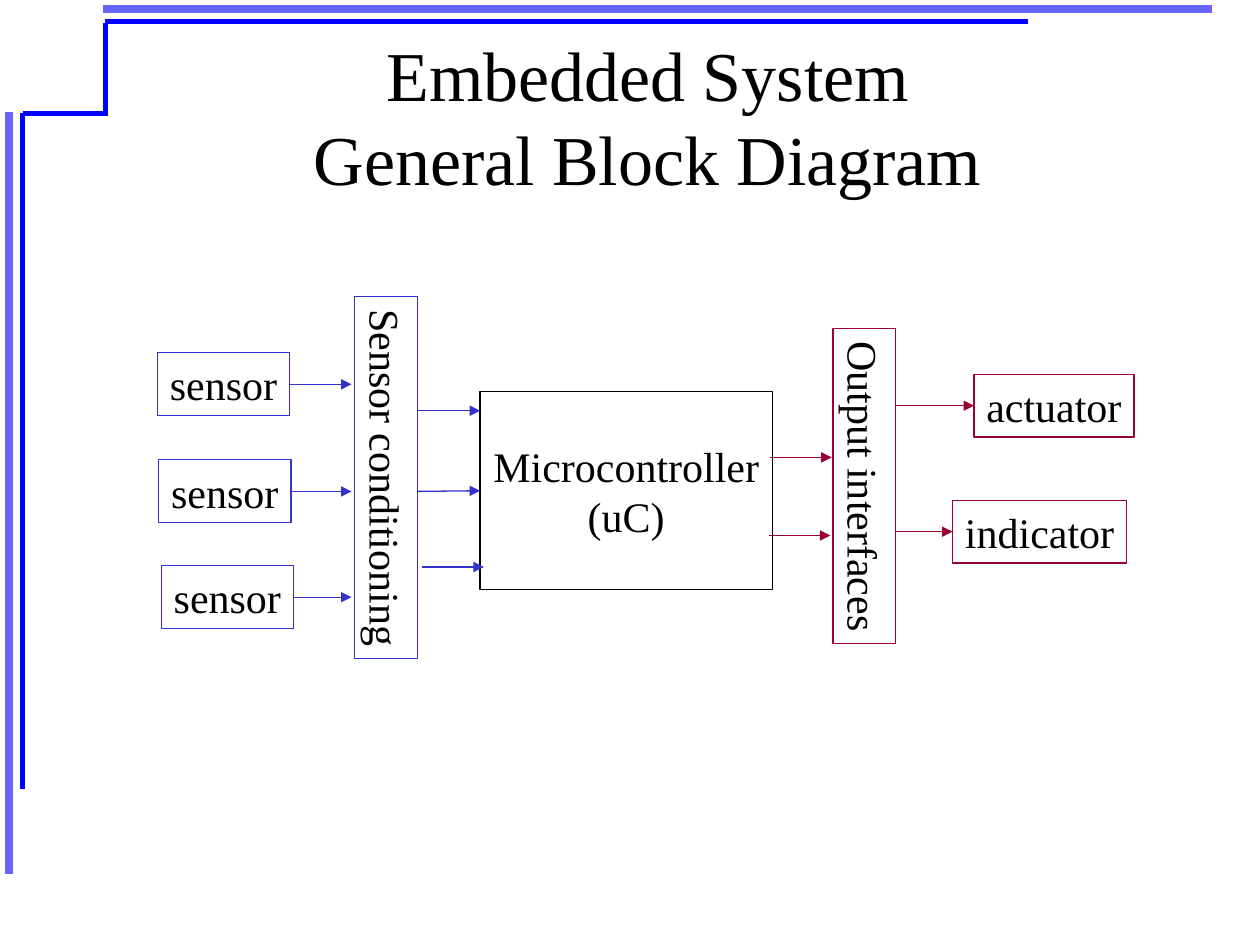
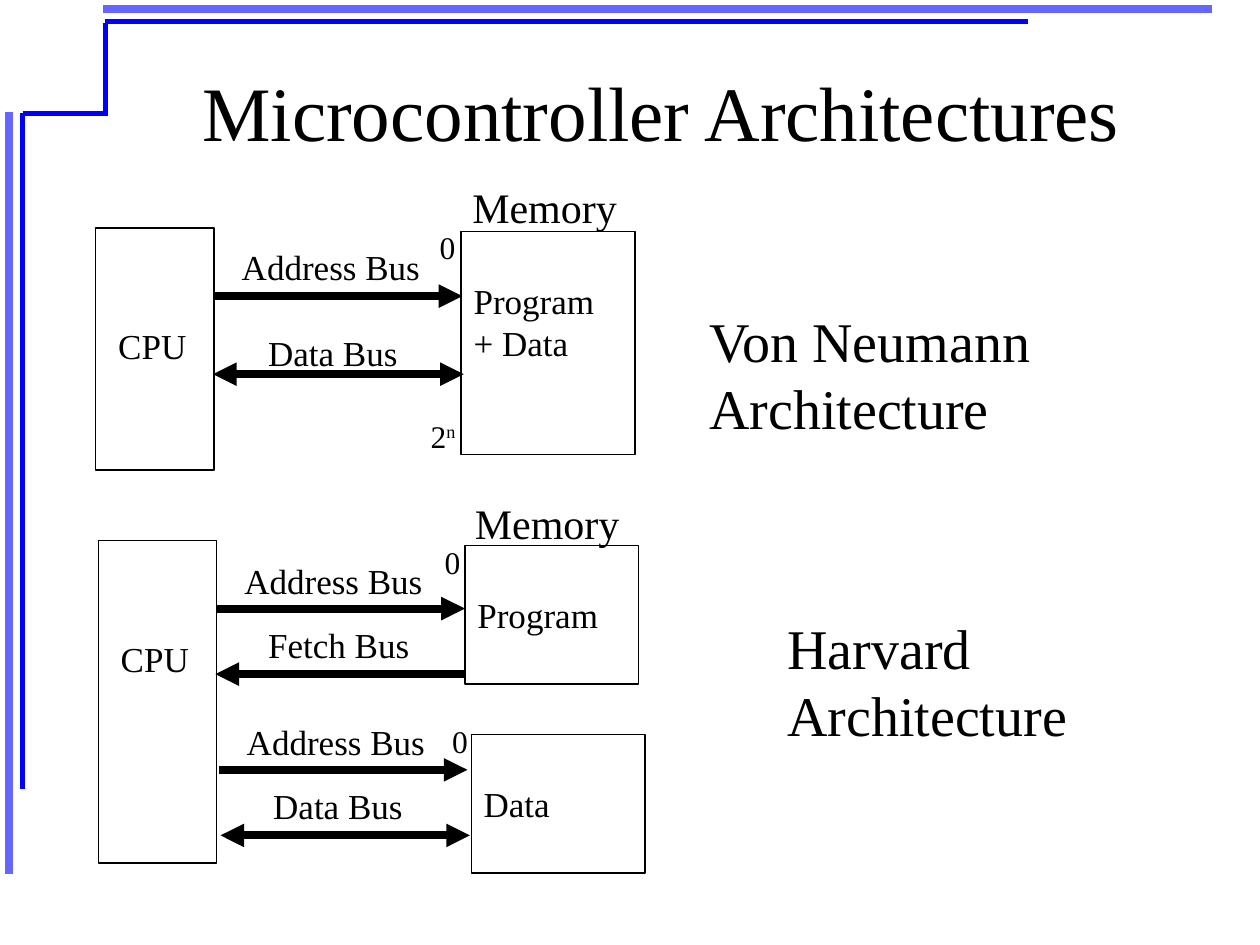
from lxml.etree import SubElement
from pptx import Presentation
from pptx.dml.color import RGBColor
from pptx.enum.shapes import MSO_CONNECTOR as Link, MSO_SHAPE as Shape
from pptx.enum.text import MSO_ANCHOR as Anchor, MSO_AUTO_SIZE as Auto, PP_ALIGN as Align
from pptx.oxml.ns import qn
from pptx.util import Inches, Pt

FONT = "Times New Roman"
BLACK, BLUE, RED = "000000", "3333CC", "990033"
PALE, DEEP = "6666FF", "0000FF"
hue = RGBColor.from_string


def add_box(slide, words, left, top, wide, high, size=20, edge=None, turn=0, wrap=False):
    area = [Inches(n) for n in (left, top, wide, high)]
    if edge:
        box = slide.shapes.add_shape(Shape.RECTANGLE, *area)
        box.shadow.inherit = False
        box.fill.background()
        box.line.color.rgb = hue(edge)
        box.line.width = Pt(0.75)
    else:
        box = slide.shapes.add_textbox(*area)
        box.text_frame.auto_size = Auto.SHAPE_TO_FIT_TEXT
    box.rotation = turn
    frame = box.text_frame
    frame.text = words
    frame.word_wrap = wrap
    frame.vertical_anchor = Anchor.TOP
    for para in frame.paragraphs:
        para.alignment = Align.LEFT
        for run in para.runs:
            run.font.name = FONT
            run.font.size = Pt(size)
            run.font.color.rgb = hue(BLACK)
    return box


def add_line(slide, x1, y1, x2, y2, color, width, ends=()):
    line = slide.shapes.add_connector(
        Link.STRAIGHT, Inches(x1), Inches(y1), Inches(x2), Inches(y2))
    line.line.color.rgb = hue(color)
    line.line.width = Pt(width)
    props = line.element.spPr
    for end in ends:
        SubElement(props.find(qn("a:ln")), qn(f"a:{end}End"), type="triangle")
    SubElement(props, qn("a:effectLst"))
    return line


deck = Presentation()
deck.slide_width, deck.slide_height = Inches(10), Inches(7.5)
layout = deck.slide_layouts[5]

slides = []
for words, left, top, size in [
    ("Embedded System\vGeneral Block Diagram", 0.89, 0.29, 40),
    ("Microcontroller Architectures", 1, 0.25, 44),
]:
    slide = deck.slides.add_slide(layout)
    title = slide.shapes.title
    title.left, title.top = Inches(left), Inches(top)
    title.width, title.height = Inches(8.5), Inches(1.25)
    frame = title.text_frame
    frame.text = words
    frame.auto_size = Auto.NONE
    frame.vertical_anchor = Anchor.MIDDLE
    para = frame.paragraphs[0]
    para.alignment = Align.CENTER
    for run in para.runs:
        run.font.name = FONT
        run.font.size = Pt(size)
        run.font.color.rgb = hue(BLACK)
    slides.append(slide)
blocks, designs = slides

for *ends, color, width in [
    (0.07, 0.89, 0.07, 6.94, PALE, 4.5),
    (0.82, 0.07, 9.62, 0.07, PALE, 4.5),
    (0.18, 0.9, 0.18, 6.26, DEEP, 3),
    (0.83, 0.17, 8.16, 0.17, DEEP, 3),
    (0.18, 0.9, 0.85, 0.9, DEEP, 3),
    (0.84, 0.92, 0.84, 0.18, DEEP, 3),
]:
    band = add_line(blocks, *ends, color, width)
    layout.shapes.element.append(band.element)

chip = add_box(blocks, "Microcontroller\n(uC)", 3.81, 3.11, 2.32, 1.57, 24, BLACK)
chip.text_frame.vertical_anchor = Anchor.MIDDLE
for para in chip.text_frame.paragraphs:
    para.alignment = Align.CENTER
add_box(blocks, "Sensor conditioning", 1.63, 3.54, 2.87, 0.5, 24, BLUE, 90)
add_box(blocks, "Output interfaces", 5.61, 3.61, 2.5, 0.5, 24, RED, 90)

for left, top in [(1.25, 2.8), (1.26, 3.65), (1.28, 4.49)]:
    sensor = add_box(blocks, "sensor", left, top, 1.05, 0.5, 24, BLUE)
    mid = top + 0.25
    add_line(blocks, 2.3, mid, 2.79, mid, BLUE, 0.75, ["tail"]).begin_connect(sensor, 3)

for words, left, top, wide in [("actuator", 7.73, 2.97, 1.27), ("indicator", 7.56, 3.97, 1.38)]:
    device = add_box(blocks, words, left, top, wide, 0.5, 24, RED)
    mid = top + 0.25
    add_line(blocks, 7.11, mid, left, mid, RED, 0.75, ["tail"]).end_connect(device, 1)

for left, y, color in [
    (3.32, 3.26, BLUE), (3.35, 4.5, BLUE), (6.11, 3.63, RED), (6.1, 4.25, RED),
]:
    add_line(blocks, left, y, left + 0.49, y, color, 0.75, ["tail"])
add_line(blocks, 3.31, 3.9, 3.81, 3.9, BLUE, 0.75, ["tail"]).end_connect(chip, 1)

for left, top, high in [(0.76, 1.81, 1.92), (0.78, 4.29, 2.56)]:
    add_box(designs, "", left, top, 0.94, high, edge=BLACK)
    add_box(designs, "CPU", left + 0.08, top + 0.72, 0.74, 0.44)

for words, left, top, high in [
    ("Program + Data", 3.66, 1.84, 1.77),
    ("Program", 3.69, 4.33, 1.1),
    ("Data", 3.74, 5.83, 1.1),
]:
    store = add_box(designs, words, left, top, 1.38, high, edge=BLACK, wrap=True)
    store.text_frame.margin_top = Inches(0.38)

for words, left, top, wide, x1, x2, y, ends in [
    ("Address Bus", 1.82, 1.9, 1.65, 1.7, 3.67, 2.35, ["tail"]),
    ("Data Bus", 2.03, 2.58, 1.23, 1.69, 3.68, 2.97, ["head", "tail"]),
    ("Address Bus", 1.84, 4.39, 1.65, 1.72, 3.69, 4.83, ["tail"]),
    ("Fetch Bus", 2.03, 4.9, 1.32, 1.71, 3.69, 5.35, ["head"]),
    ("Address Bus", 1.86, 5.67, 1.65, 1.74, 3.71, 6.11, ["tail"]),
    ("Data Bus", 2.07, 6.18, 1.23, 1.75, 3.73, 6.63, ["head", "tail"]),
]:
    add_line(designs, x1, y, x2, y, BLACK, 4.5, ends)
    add_box(designs, words, left, top, wide, 0.44)

for left, top in [(3.65, 1.39), (3.67, 3.9)]:
    add_box(designs, "Memory", left, top, 1.35, 0.5, 24)
for left, top in [(3.39, 1.76), (3.43, 4.26), (3.49, 5.68)]:
    add_box(designs, "0", left, top, 0.32, 0.4, 18)

limit = add_box(designs, "2", 3.32, 3.26, 0.4, 0.4, 18)
power = limit.text_frame.paragraphs[0].add_run()
power.text = "n"
power.font.name = FONT
power.font.size = Pt(18)
power.font.color.rgb = hue(BLACK)
power._r.get_or_add_rPr().set("baseline", "30000")

add_box(designs, "Von Neumann\nArchitecture", 5.53, 2.38, 2.81, 1.17, 32)
add_box(designs, "Harvard\nArchitecture", 6.15, 4.82, 2.46, 1.17, 32)

deck.save("out.pptx")
